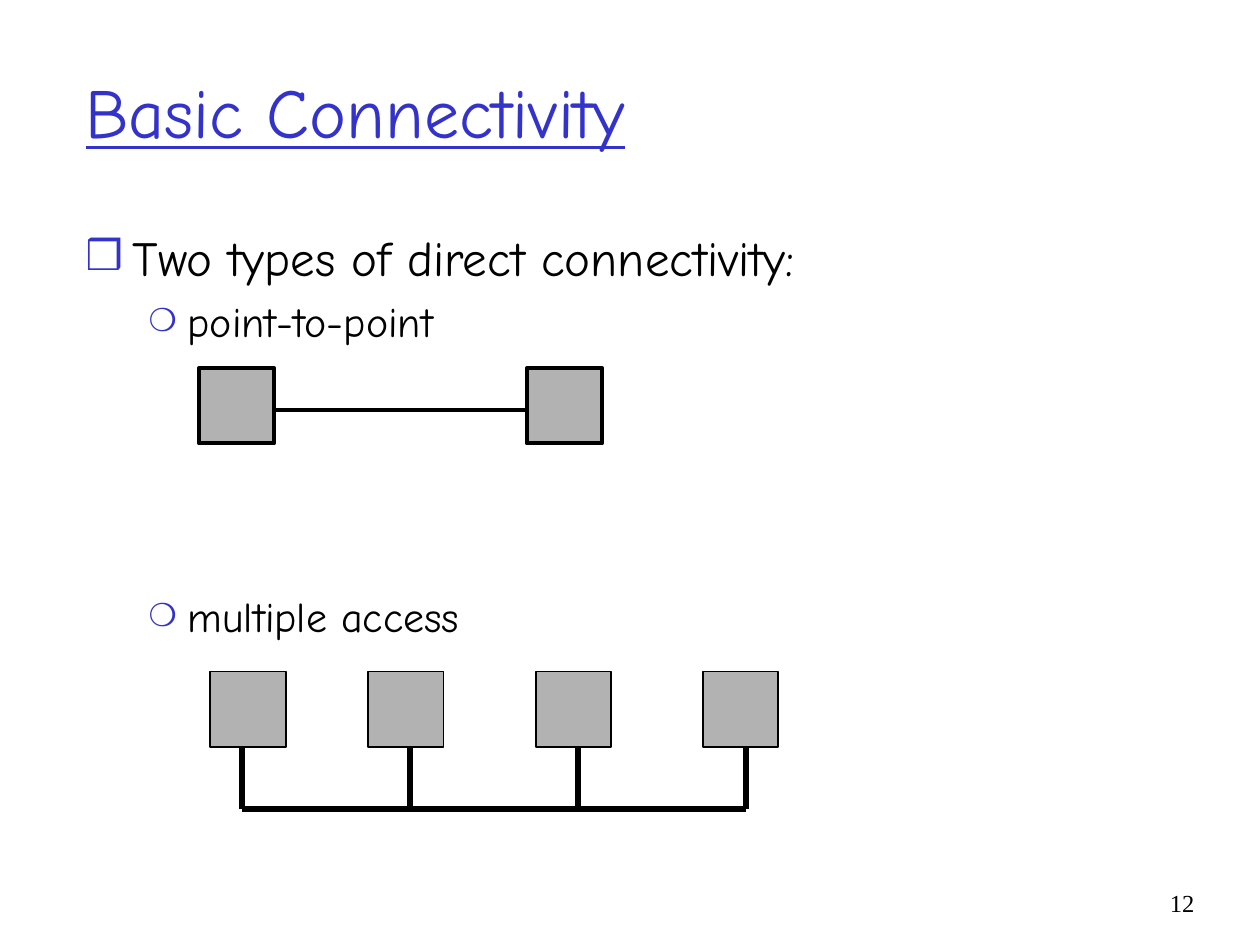
from dataclasses import dataclass

from lxml import etree
from pptx import Presentation
from pptx.dml.color import RGBColor
from pptx.enum.shapes import MSO_CONNECTOR, MSO_SHAPE
from pptx.enum.text import MSO_ANCHOR, MSO_AUTO_SIZE, PP_ALIGN
from pptx.oxml.ns import qn
from pptx.util import Cm, Pt

STRAIGHT = MSO_CONNECTOR.STRAIGHT
RECTANGLE = MSO_SHAPE.RECTANGLE
MIDDLE, TOP = MSO_ANCHOR.MIDDLE, MSO_ANCHOR.TOP
NO_FIT = MSO_AUTO_SIZE.NONE
LEFT, RIGHT = PP_ALIGN.LEFT, PP_ALIGN.RIGHT

COLORS = {"accent": "3333CC", "text": "000000", "line": "000000", "node": "B2B2B2"}
FONT = "Comic Neue"
NUMBER_FONT = "Times New Roman"
NODE_SIZE = 1.52


@dataclass
class Bullet:
    text: str
    level: int
    size: int
    char: str
    char_pct: int
    indent: float
    hanging: float
    space_before: float


@dataclass
class Link:
    """A line between two points, in centimetres."""
    x1: float
    y1: float
    x2: float
    y2: float


@dataclass
class Network:
    node_lefts: list[float]
    node_top: float
    node_border: float
    links: list[Link]
    link_width: float


BULLETS = [
    Bullet("Two types of direct connectivity:", 0, 28, "❒", 85, 0.95, 0.95, 5.6),
    Bullet("point-to-point", 1, 24, "❍", 75, 2.06, 0.79, 5.6),
    Bullet("multiple access", 1, 24, "❍", 75, 2.06, 0.79, 139.8),
]

BUS_LEFT, BUS_RIGHT, BUS_Y, DROP_TOP = 4.88, 15.04, 16.31, 15.04
DROP_GAP = (BUS_RIGHT - BUS_LEFT) / 3
DROP_XS = [BUS_LEFT + i * DROP_GAP for i in range(4)]

NETWORKS = [
    Network([10.62, 4.01], 7.42, 2.25, [Link(5.54, 8.26, 10.62, 8.26)], 2.25),
    Network([4.24, 7.42, 10.8, 14.17], 13.54, 1,
            [Link(BUS_LEFT, BUS_Y, BUS_RIGHT, BUS_Y)]
            + [Link(x, BUS_Y, x, DROP_TOP) for x in DROP_XS], 3),
]


def rgb(name: str) -> RGBColor:
    return RGBColor.from_string(COLORS[name])


def place(sp, left: float, top: float, width: float, height: float) -> None:
    sp.left, sp.top, sp.width, sp.height = Cm(left), Cm(top), Cm(width), Cm(height)


def add_run(p, text: str, size: float, color: str, font: str = FONT):
    r = p.add_run()
    r.text = text
    r.font.name = font
    r.font.size = Pt(size)
    r.font.color.rgb = rgb(color)
    return r


def set_bullet(p, b: Bullet) -> None:
    """Give the paragraph its hanging indent and coloured bullet."""
    pPr = p._p.get_or_add_pPr()
    pPr.set("marL", str(Cm(b.indent)))
    pPr.set("indent", str(-Cm(b.hanging)))
    clr = etree.SubElement(pPr, qn("a:buClr"))
    etree.SubElement(clr, qn("a:srgbClr"), val=COLORS["accent"])
    etree.SubElement(pPr, qn("a:buSzPct"), val=str(b.char_pct * 1000))
    etree.SubElement(pPr, qn("a:buChar"), char=b.char)


def add_title(s, text: str) -> None:
    sp = s.shapes.title
    place(sp, 1.47, 0.64, 21.59, 3.18)
    tf = sp.text_frame
    tf.auto_size = NO_FIT
    tf.vertical_anchor = MIDDLE
    p = tf.paragraphs[0]
    p.alignment = LEFT
    add_run(p, text, 40, "accent").font.underline = True


def add_bullets(s, bullets: list[Bullet]) -> None:
    sp = s.placeholders[1]
    place(sp, 1.47, 4.45, 21.59, 12.9)
    tf = sp.text_frame
    tf.auto_size = NO_FIT
    tf.vertical_anchor = TOP
    for i, b in enumerate(bullets):
        p = tf.add_paragraph() if i else tf.paragraphs[0]
        p.level = b.level
        p.space_before = Pt(b.space_before)
        set_bullet(p, b)
        add_run(p, b.text, b.size, "text")


def add_page_number(s, number: str) -> None:
    sp = s.shapes.add_textbox(Cm(23.06), Cm(17.78), Cm(1.27), Cm(1.27))
    tf = sp.text_frame
    tf.word_wrap = True
    p = tf.paragraphs[0]
    p.alignment = RIGHT
    add_run(p, number, 14, "text", NUMBER_FONT)


def add_node(shapes, left: float, top: float, border: float) -> None:
    size = Cm(NODE_SIZE)
    sp = shapes.add_shape(RECTANGLE, Cm(left), Cm(top), size, size)
    sp.shadow.inherit = False
    sp.fill.solid()
    sp.fill.fore_color.rgb = rgb("node")
    sp.line.color.rgb = rgb("line")
    sp.line.width = Pt(border)


def add_link(shapes, link: Link, width: float) -> None:
    sp = shapes.add_connector(STRAIGHT, Cm(link.x1), Cm(link.y1), Cm(link.x2), Cm(link.y2))
    sp.line.color.rgb = rgb("line")
    sp.line.width = Pt(width)
    etree.SubElement(sp._element.spPr, qn("a:effectLst"))


def add_network(s, network: Network) -> None:
    shapes = s.shapes.add_group_shape().shapes
    for left in network.node_lefts:
        add_node(shapes, left, network.node_top, network.node_border)
    for link in network.links:
        add_link(shapes, link, network.link_width)


def main() -> None:
    prs = Presentation()
    prs.slide_width, prs.slide_height = Cm(25.4), Cm(19.05)
    s = prs.slides.add_slide(prs.slide_layouts[1])
    add_page_number(s, "12")
    add_title(s, "Basic Connectivity")
    for network in NETWORKS:
        add_network(s, network)
    add_bullets(s, BULLETS)
    prs.save("out.pptx")


if __name__ == "__main__":
    main()
